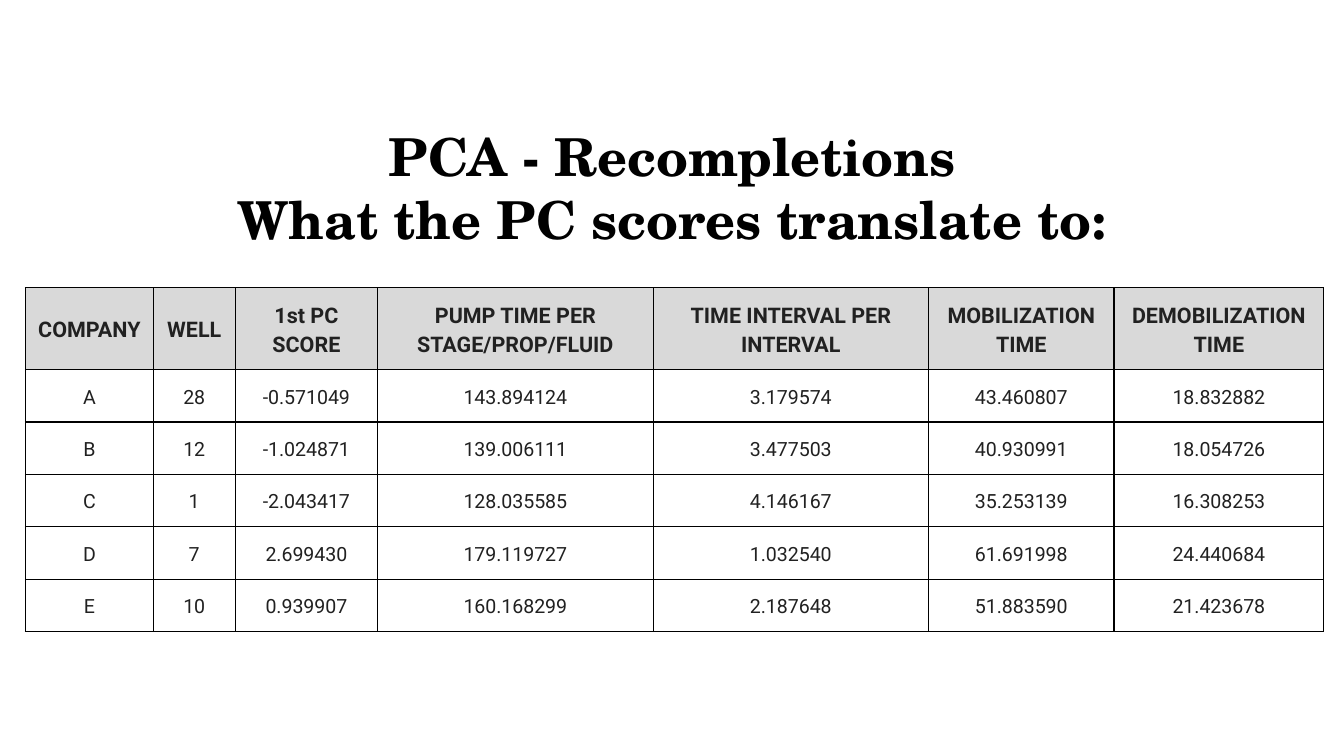
from dataclasses import dataclass

from lxml.etree import SubElement
from pptx import Presentation
from pptx.dml.color import RGBColor
from pptx.enum.text import MSO_ANCHOR, PP_ALIGN
from pptx.oxml.ns import qn
from pptx.util import Inches, Pt

HUES = {"ink": "000000", "text": "212121", "head": "D9D9D9", "body": "FFFFFF"}


@dataclass(frozen=True)
class Style:
    font: str
    size: float
    hue: str
    bold: bool = False
    gap: float = 1.0


@dataclass(frozen=True)
class Column:
    head: str
    width: float
    values: tuple[str, ...]


TITLE = Style("TeX Gyre Schola", 28, "ink", True)
HEAD = Style("Roboto", 11.5, "text", True, 1.15)
BODY = Style("Roboto", 10.5, "text", False, 1.15)

LINES = ("PCA - Recompletions", "What the PC scores translate to:")
COLUMNS = (
    Column("COMPANY", 0.95, ("A", "B", "C", "D", "E")),
    Column("WELL", 0.61, ("28", "12", "1", "7", "10")),
    Column("1st PC SCORE", 1.06,
           ("-0.571049", "-1.024871", "-2.043417", "2.699430", "0.939907")),
    Column("PUMP TIME PER STAGE/PROP/FLUID", 2.05,
           ("143.894124", "139.006111", "128.035585", "179.119727", "160.168299")),
    Column("TIME INTERVAL PER INTERVAL", 2.05,
           ("3.179574", "3.477503", "4.146167", "1.032540", "2.187648")),
    Column("MOBILIZATION TIME", 1.38,
           ("43.460807", "40.930991", "35.253139", "61.691998", "51.883590")),
    Column("DEMOBILIZATION TIME", 1.56,
           ("18.832882", "18.054726", "16.308253", "24.440684", "21.423678")),
)
HEIGHTS = (0.61,) + (0.39,) * 5


def color(hue: str) -> RGBColor:
    return RGBColor.from_string(HUES[hue])


def write(frame, lines: tuple[str, ...], style: Style) -> None:
    for i, line in enumerate(lines):
        para = frame.add_paragraph() if i else frame.paragraphs[0]
        para.alignment = PP_ALIGN.CENTER
        para.line_spacing = style.gap
        run = para.add_run()
        run.text = line
        run.font.name = style.font
        run.font.size = Pt(style.size)
        run.font.bold = style.bold
        run.font.color.rgb = color(style.hue)


def inset(item, size: float) -> None:
    item.margin_left = item.margin_right = Inches(size)
    item.margin_top = item.margin_bottom = Inches(size)
    item.vertical_anchor = MSO_ANCHOR.MIDDLE


def border(cell) -> None:
    props = cell._tc.get_or_add_tcPr()
    for side in ("lnL", "lnR", "lnT", "lnB"):
        line = SubElement(props, qn(f"a:{side}"), w=str(Pt(0.75)))
        fill = SubElement(line, qn("a:solidFill"))
        SubElement(fill, qn("a:srgbClr"), val=HUES["ink"])


def draw_cell(cell, text: str, style: Style, hue: str) -> None:
    inset(cell, 0.07)
    border(cell)
    cell.fill.solid()
    cell.fill.fore_color.rgb = color(hue)
    write(cell.text_frame, (text,), style)


def draw_title(slide) -> None:
    box = slide.shapes.add_textbox(
        Inches(0.99), Inches(0.92), Inches(8.02), Inches(0.94))
    box.text_frame.word_wrap = True
    inset(box.text_frame, 0.1)
    write(box.text_frame, LINES, TITLE)


def draw_table(slide) -> None:
    width = sum(col.width for col in COLUMNS)
    table = slide.shapes.add_table(
        len(HEIGHTS), len(COLUMNS), Inches(0.19), Inches(2.14),
        Inches(width), Inches(sum(HEIGHTS))).table
    table.horz_banding = False
    for row, height in zip(table.rows, HEIGHTS):
        row.height = Inches(height)
    for x, col in enumerate(COLUMNS):
        table.columns[x].width = Inches(col.width)
        draw_cell(table.cell(0, x), col.head, HEAD, "head")
        for y, value in enumerate(col.values, 1):
            draw_cell(table.cell(y, x), value, BODY, "body")


def main() -> None:
    deck = Presentation()
    deck.slide_width = Inches(10)
    deck.slide_height = Inches(10) * 9 // 16
    slide = deck.slides.add_slide(deck.slide_layouts[6])
    draw_title(slide)
    draw_table(slide)
    deck.save("out.pptx")


if __name__ == "__main__":
    main()
